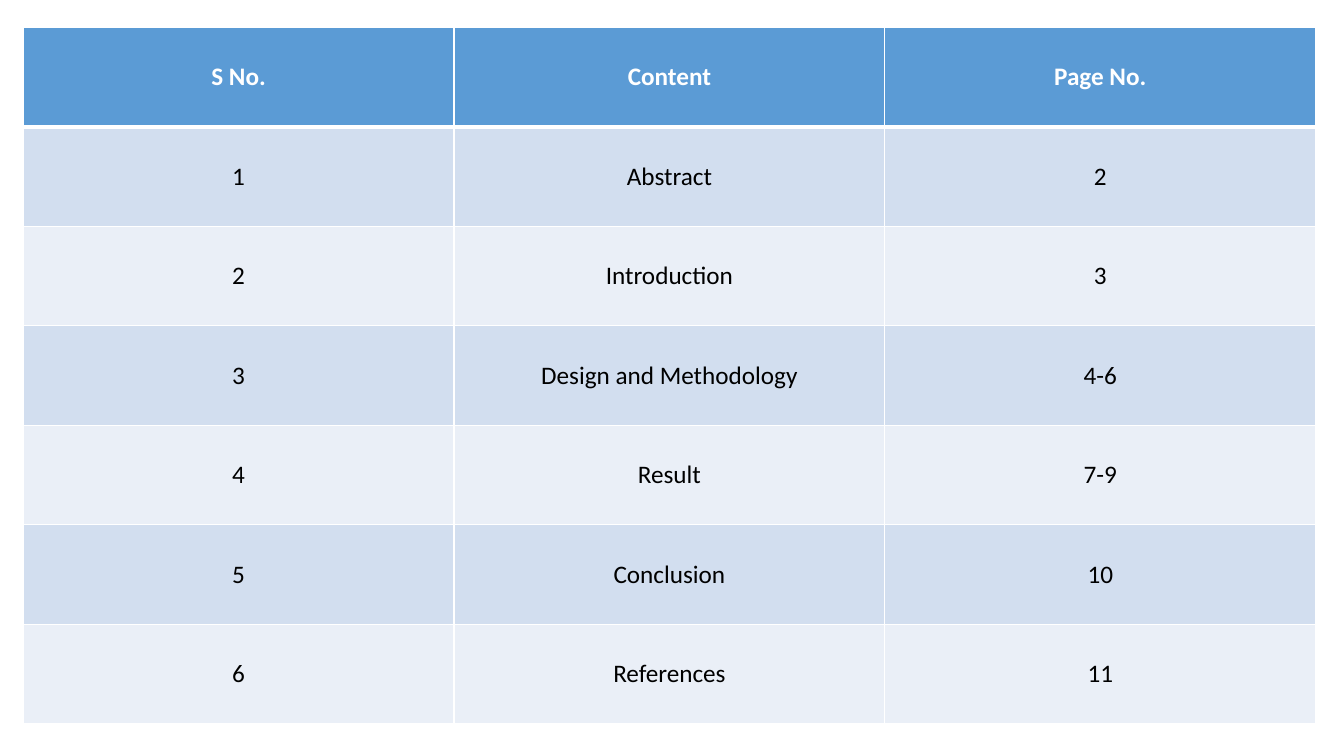
import pptx
import pptx.dml.color
import pptx.enum.text
import pptx.oxml
import pptx.oxml.ns
import pptx.util
from pptx.util import Inches

ROWS = [
    ("S No.", "Content", "Page No."),
    ("1", "Abstract", "2"),
    ("2", "Introduction", "3"),
    ("3", "Design and Methodology", "4-6"),
    ("4", "Result", "7-9"),
    ("5", "Conclusion", "10"),
    ("6", "References", "11"),
]
COLORS = {
    "header": "5B9BD5",
    "odd": "D2DEEF",
    "even": "EAEFF7",
    "border": "FFFFFF",
    "header_text": "FFFFFF",
    "text": "000000",
}
LEFT, TOP, WIDTH, HEIGHT = 0.23, 0.27, 12.82, 6.91
THIN, THICK = 1, 3


def rgb(name):
    return pptx.dml.color.RGBColor.from_string(COLORS[name])


def set_borders(cell, top, bottom):
    """Draw all four cell edges; top and bottom are widths in points."""
    properties = cell._tc.get_or_add_tcPr()
    widths = {"lnL": THIN, "lnR": THIN, "lnT": top, "lnB": bottom}
    for position, (edge, width) in enumerate(widths.items()):
        line = pptx.oxml.parse_xml(
            f'<a:{edge} {pptx.oxml.ns.nsdecls("a")} w="{pptx.util.Pt(width)}">'
            f'<a:solidFill><a:srgbClr val="{COLORS["border"]}"/></a:solidFill>'
            f'</a:{edge}>')
        properties.insert(position, line)


def format_cell(cell, row):
    is_header = row == 0
    cell.fill.solid()
    cell.fill.fore_color.rgb = rgb("header" if is_header else "odd" if row % 2 else "even")
    cell.vertical_anchor = pptx.enum.text.MSO_ANCHOR.MIDDLE
    para = cell.text_frame.paragraphs[0]
    para.alignment = pptx.enum.text.PP_ALIGN.CENTER
    font = para.runs[0].font
    font.name = "Calibri"
    font.size = pptx.util.Pt(18)
    font.bold = is_header
    font.color.rgb = rgb("header_text" if is_header else "text")
    set_borders(cell, THICK if row == 1 else THIN, THICK if is_header else THIN)


def main():
    deck = pptx.Presentation()
    deck.slide_width, deck.slide_height = Inches(13.33), Inches(7.5)
    page = deck.slides.add_slide(deck.slide_layouts[6])
    contents = page.shapes.add_table(
        len(ROWS), len(ROWS[0]),
        Inches(LEFT), Inches(TOP), Inches(WIDTH), Inches(HEIGHT)).table
    for row, texts in enumerate(ROWS):
        contents.rows[row].height = Inches(HEIGHT / len(ROWS))
        for column, text in enumerate(texts):
            cell = contents.cell(row, column)
            cell.text_frame.text = text
            format_cell(cell, row)
    deck.save("out.pptx")


if __name__ == "__main__":
    main()
